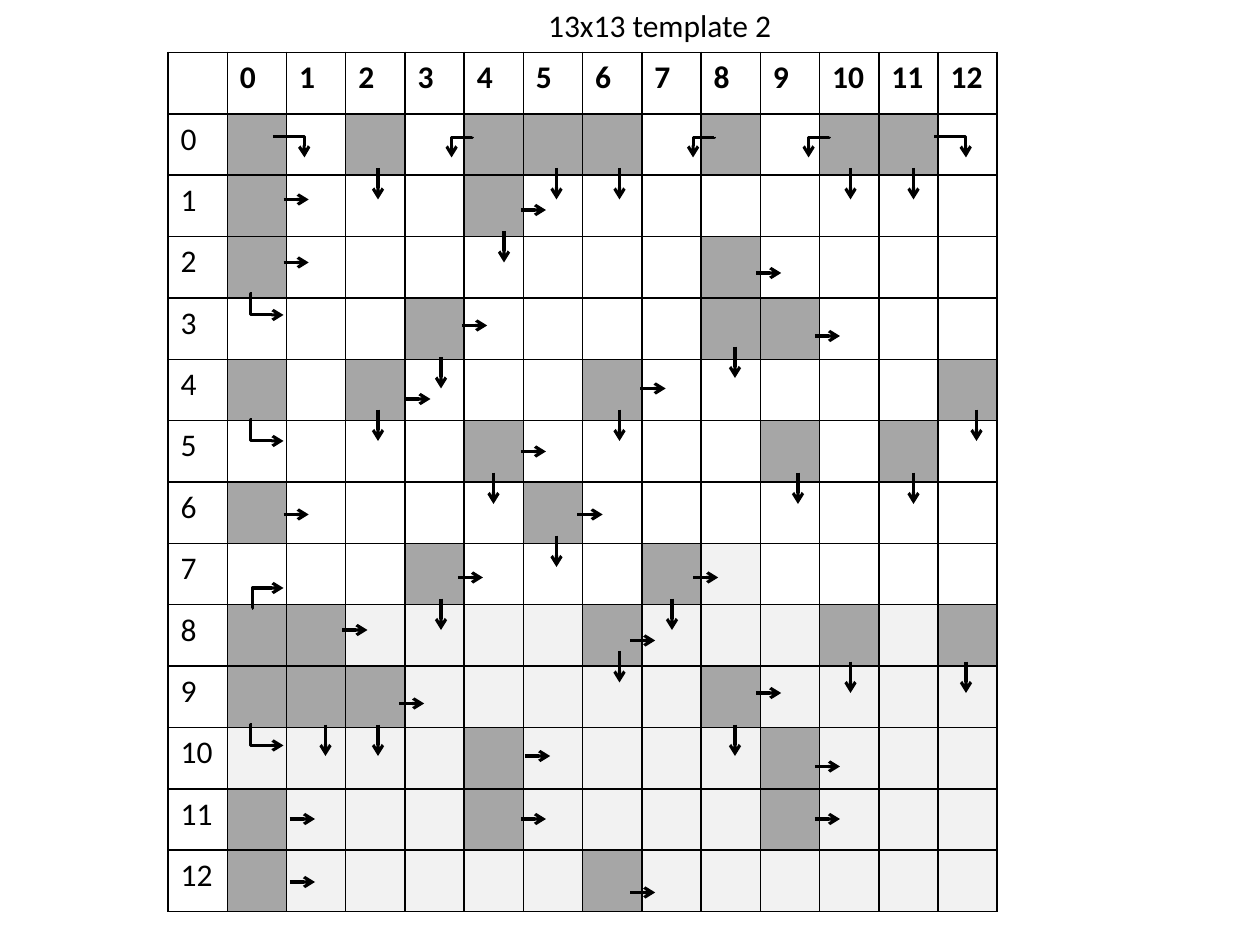
from lxml import etree
from pptx import Presentation
from pptx.dml.color import RGBColor
from pptx.enum.shapes import MSO_CONNECTOR
from pptx.enum.text import MSO_ANCHOR, MSO_AUTO_SIZE, PP_ALIGN
from pptx.oxml import parse_xml
from pptx.oxml.ns import nsdecls, qn
from pptx.util import Pt

LINE, ELBOW = MSO_CONNECTOR.STRAIGHT, MSO_CONNECTOR.ELBOW
TOP, LEFT, NO_FIT = MSO_ANCHOR.TOP, PP_ALIGN.LEFT, MSO_AUTO_SIZE.NONE
FONT, BLACK = "Calibri", "000000"

TITLE = "13x13 template 2"
GRID = [
    "#.#.###.#.##.",
    "#...#........",
    "#.......#....",
    "...#....##...",
    "#.#...#.....#",
    "....#....#.#.",
    "#....#.......",
    "...#...#-....",
    "##----#---#-#",
    "###-----#----",
    "----#----#---",
    "#---#----#---",
    "#-----#------",
]
FILLS = {"#": "A6A6A6", ".": "FFFFFF", "-": "F2F2F2"}

ACROSS = {
    114: [162], 120: [297.6], 150: [162], 156: [432], 186: [264],
    192: [465.6], 222: [366], 228: [231.6], 258: [297.6],
    294: [162, 330], 330: [261.6, 396], 360: [195.6], 366: [360],
    396: [432], 402: [228], 432: [300], 438: [465.6],
    468: [165.6, 297.6, 465.6], 504: [165.6], 510: [360],
}
DOWN = {
    96: [216, 318, 354, 486, 522], 132: [288], 198: [420], 204: [252],
    234: [216, 354, 558], 270: [282, 456, 522], 306: [318],
    342: [252, 384], 372: [354], 378: [486, 552], 414: [186, 216, 420],
}
# x, y, dx, dy, bend, turn
BENDS = [
    (144, 168, 18, 12, -0.04, 0),
    (144, 240, 18, 12, -0.04, 0),
    (144, 414, 18, 12, -0.04, 0),
    (144, 348, 18, -12, 0.01, 0),
    (156, 78, 18, 12, 0.99, 0),
    (534, 78, 18, 12, 0.99, 0),
    (258, 78, 12, 12, 0.03, 90),
    (396, 78, 12, 12, 0.03, 90),
    (462, 78, 12, 12, 0.03, 90),
]


def color(code):
    return RGBColor.from_string(code)


def style(para, bold=False):
    font = para.font
    font.name, font.size, font.bold = FONT, Pt(18), bold
    font.color.rgb = color(BLACK)


def border(cell):
    props = cell._tc.get_or_add_tcPr()
    for side in ("lnL", "lnR", "lnT", "lnB"):
        props.append(parse_xml(
            f'<a:{side} {nsdecls("a")} w="12700"><a:solidFill>'
            f'<a:srgbClr val="{BLACK}"/></a:solidFill></a:{side}>'))


def arrow(slide, x, y, dx, dy, kind=LINE):
    link = slide.shapes.add_connector(
        kind, Pt(x), Pt(y), Pt(x + dx), Pt(y + dy))
    link.line.color.rgb = color(BLACK)
    link.line.width = Pt(1.75)
    props = link._element.spPr
    etree.SubElement(props.find(qn("a:ln")), qn("a:tailEnd"), type="arrow")
    etree.SubElement(props, qn("a:effectLst"))
    return props


def bend(slide, x, y, dx, dy, part, turn):
    props = arrow(slide, x, y, dx, dy, ELBOW)
    if turn:
        props.find(qn("a:xfrm")).set("rot", str(turn * 60000))
    guides = props.find(qn("a:prstGeom")).find(qn("a:avLst"))
    etree.SubElement(guides, qn("a:gd"), name="adj1",
                     fmla=f"val {round(part * 100000)}")


def put_title(slide):
    title = slide.shapes.title
    title.left, title.top = Pt(306), Pt(0)
    title.width, title.height = Pt(143.28), Pt(29)
    frame = title.text_frame
    frame.text = TITLE
    frame.word_wrap, frame.auto_size = False, NO_FIT
    frame.vertical_anchor = TOP
    frame.paragraphs[0].alignment = LEFT
    style(frame.paragraphs[0])


def put_grid(slide):
    count = len(GRID) + 1
    table = slide.shapes.add_table(
        count, count, Pt(96), Pt(30), Pt(474), Pt(491)).table
    table.first_row = table.horz_banding = False
    for col in table.columns:
        col.width = Pt(474 / count)
    for row in table.rows:
        row.height = Pt(491 / count)
    for r in range(count):
        for c in range(count):
            cell = table.cell(r, c)
            border(cell)
            mark = GRID[r - 1][c - 1] if r and c else "."
            cell.fill.solid()
            cell.fill.fore_color.rgb = color(FILLS[mark])
            if (r == 0) != (c == 0):
                cell.text = str(r + c - 1)
            style(cell.text_frame.paragraphs[0], r == 0)


def main():
    deck = Presentation()
    deck.slide_width, deck.slide_height = Pt(720), Pt(540)
    slide = deck.slides.add_slide(deck.slide_layouts[5])
    put_title(slide)
    put_grid(slide)
    for rows, dx, dy in ((ACROSS, 14.4, 0), (DOWN, 0, 18)):
        for y, spots in rows.items():
            for x in spots:
                arrow(slide, x, y, dx, dy)
    for item in BENDS:
        bend(slide, *item)
    deck.save("out.pptx")


if __name__ == "__main__":
    main()
